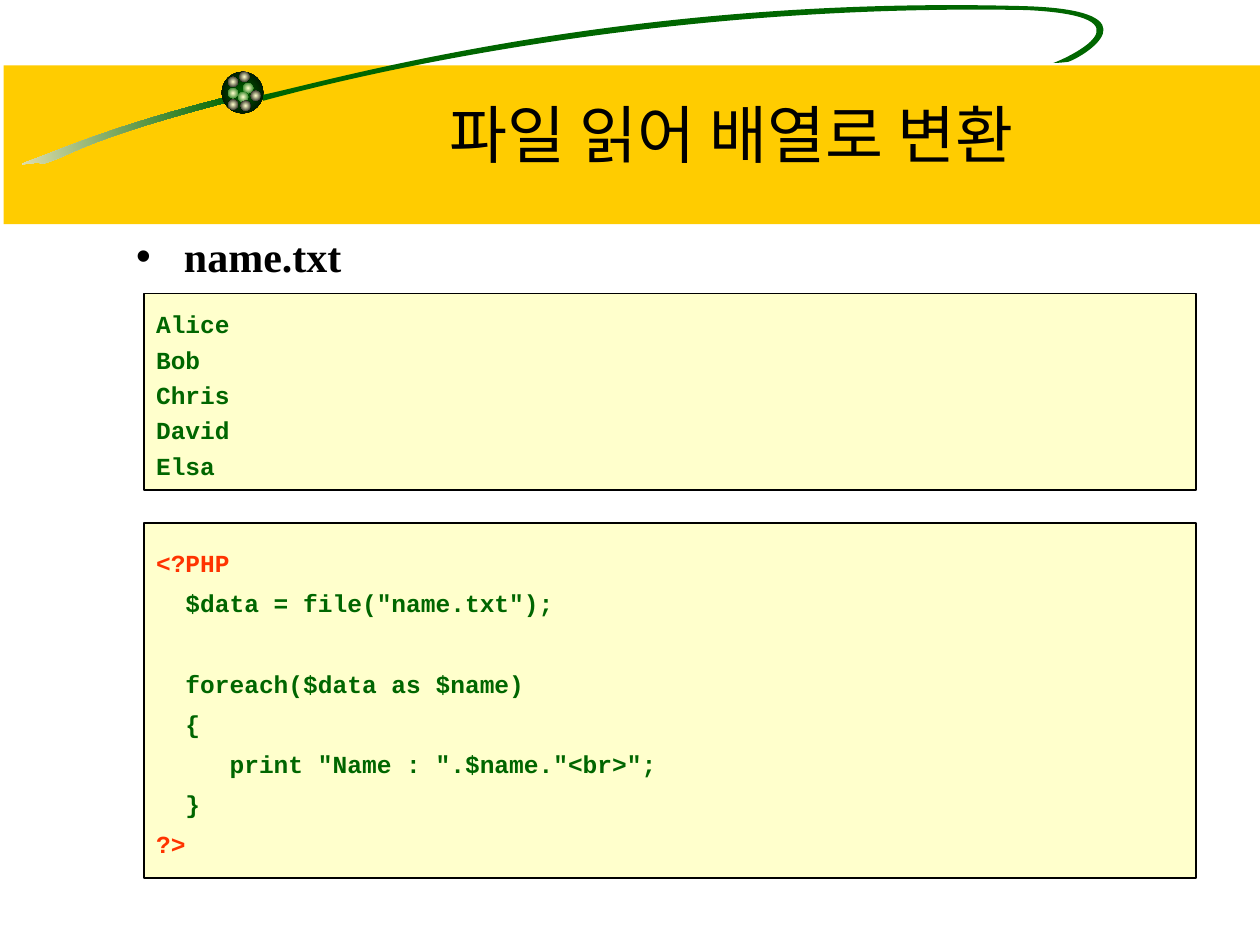
from math import cos, radians, sin

from lxml import etree
from pptx import Presentation
from pptx.dml.color import RGBColor
from pptx.enum.shapes import MSO_SHAPE
from pptx.enum.text import MSO_ANCHOR, PP_ALIGN
from pptx.oxml.ns import qn
from pptx.util import Pt

PX = 9144  # 100 px to the inch
RECT, OVAL = MSO_SHAPE.RECTANGLE, MSO_SHAPE.OVAL
MIDDLE, LEFT, CENTER = MSO_ANCHOR.MIDDLE, PP_ALIGN.LEFT, PP_ALIGN.CENTER

BLACK = RGBColor(0x00, 0x00, 0x00)
WHITE = RGBColor(0xFF, 0xFF, 0xFF)
GREEN = RGBColor(0x00, 0x66, 0x00)
RED = RGBColor(0xFF, 0x33, 0x00)
YELLOW = RGBColor(0xFF, 0xCC, 0x00)
CREAM = RGBColor(0xFF, 0xFF, 0xCC)
SAND = RGBColor(0xF5, 0xEB, 0xC1)

SERIF, MONO = "Times New Roman", "Courier New"
TILT = -9  # degrees, for both parts of the swoosh

# Each outline: a start point, then Bezier segments (control, control, end)
TAIL = [(180, 77),
        (93, 99), (52, 117), (28, 126),
        (3, 135), (29, 127), (34, 130),
        (59, 123), (60, 113), (181, 81),
        (181, 81), (180, 77), (180, 77)]
SWOOSH = [(205, 76),
          (249, 68), (489, -5), (817, 5),
          (919, 9), (860, 45), (848, 49),
          (848, 49), (841, 50), (836, 50),
          (847, 46), (919, 13), (815, 8),
          (550, 3), (323, 49), (209, 80),
          (209, 80), (205, 76), (205, 76)]
# Dots on the ball: offset from the ball's corner, and rim colour
DOTS = [(17, 9, GREEN), (5, 4, BLACK), (5, 13, GREEN), (13, 16, GREEN),
        (23, 15, BLACK), (15, 23, BLACK), (5, 22, BLACK), (14, 0, BLACK)]

NAMES = ["Alice", "Bob", "Chris", "David", "Elsa"]
CODE = ["<?PHP",
        '  $data = file("name.txt");',
        "  ",
        "  foreach($data as $name)",
        "  {",
        '     print "Name : ".$name."<br>";',
        "  }",
        "?>"]


def emu(*lengths):
    return [round(n * PX) for n in lengths]


def place(sp, box):
    sp.left, sp.top, sp.width, sp.height = emu(*box)


def strip_style(sp):
    sp.shadow.inherit = False
    sp.line.fill.background()
    return sp


def add_plain(shapes, kind, box):
    return strip_style(shapes.add_shape(kind, *emu(*box)))


def fill_solid(sp, color):
    sp.fill.solid()
    sp.fill.fore_color.rgb = color


def fill_gradient(sp, start, end, radial=False):
    sp.fill.gradient()
    sp.fill.gradient_angle = 0
    for stop, color in zip(sp.fill.gradient_stops, (start, end)):
        stop.color.rgb = color
    if radial:
        grad = sp.fill._fill._gradFill
        grad.remove(grad.find(qn("a:lin")))
        circle = etree.SubElement(grad, qn("a:path"), path="circle")
        etree.SubElement(circle, qn("a:fillToRect"), dict.fromkeys("ltrb", "50000"))


def add_curve(shapes, x, y, box, outline):
    """Draw a closed Bezier outline in a tilted frame; the points are as seen after the tilt."""
    left, top, w, h = box
    cx, cy = left + w / 2, top + h / 2
    c, n = cos(radians(TILT)), sin(radians(TILT))
    points = [emu(w / 2 + (px - cx) * c + (py - cy) * n,
                  h / 2 - (px - cx) * n + (py - cy) * c) for px, py in outline]
    builder = shapes.build_freeform(*points[0])
    builder.add_line_segments(points[1:], close=True)
    sp = strip_style(builder.convert_to_shape())
    place(sp, (x + left, y + top, w, h))
    sp.rotation = TILT

    curve = sp._element.find(".//" + qn("a:path"))
    for name, length in zip("wh", emu(w, h)):
        curve.set(name, str(length))
    for child in list(curve):
        curve.remove(child)
    moves = [("a:moveTo", points[:1])]
    moves += [("a:cubicBezTo", points[i:i + 3]) for i in range(1, len(points), 3)]
    for tag, group in moves + [("a:close", [])]:
        segment = etree.SubElement(curve, qn(tag))
        for px, py in group:
            etree.SubElement(segment, qn("a:pt"), x=str(px), y=str(py))
    return sp


def add_ball(shapes, x, y, size):
    fill_gradient(add_plain(shapes, OVAL, (x, y, size, size)), GREEN, BLACK, radial=True)
    for dx, dy, rim in DOTS:
        dot = add_plain(shapes, OVAL, (x + dx, y + dy, 8, 8))
        fill_gradient(dot, CREAM, rim, radial=True)


def add_backdrop(s, x, y, w, h):
    group = s.shapes.add_group_shape()
    shapes = group.shapes
    fill_solid(add_plain(shapes, RECT, (x + 3, y + 52, w, 126)), YELLOW)
    fill_gradient(add_curve(shapes, x, y, (0, 91, 184, 30), TAIL), SAND, GREEN)
    fill_solid(add_curve(shapes, x, y, (204, -15, 716, 109), SWOOSH), GREEN)
    add_ball(shapes, x + 176, y + 57, 33)
    veil = add_plain(shapes, RECT, (x + 77, y + 206, 122, h - 206))
    fill_solid(veil, WHITE)
    color = veil._element.spPr.find(qn("a:solidFill"))[0]
    etree.SubElement(color, qn("a:alpha"), val="50000")
    s.shapes._spTree.insert(2, group._element)  # behind the placeholders


def set_font(p, name, size, color, bold=False):
    p.font.name, p.font.size, p.font.bold = name, Pt(size), bold
    p.font.color.rgb = color


def fill_title(s, box, text):
    place(s.shapes.title, box)
    tf = s.shapes.title.text_frame
    tf.text = text
    tf.vertical_anchor = MIDDLE
    p = tf.paragraphs[0]
    p.alignment = CENTER
    set_font(p, SERIF, 36, BLACK)


def fill_body(s, box, text):
    body = s.placeholders[1]
    place(body, box)
    body.text_frame.text = text
    p = body.text_frame.paragraphs[0]
    set_font(p, SERIF, 24, BLACK, bold=True)
    pPr = p._p.get_or_add_pPr()
    indent, = emu(38)
    pPr.set("marL", str(indent))
    pPr.set("indent", str(-indent))


def add_listing(s, box, lines, space_before=0):
    sp = add_plain(s.shapes, RECT, box)
    fill_solid(sp, CREAM)
    sp.line.color.rgb = BLACK
    sp.line.width = Pt(1)
    tf = sp.text_frame
    tf.word_wrap = True
    tf.vertical_anchor = MIDDLE
    tf.text = "\n".join(lines)
    for i, p in enumerate(tf.paragraphs):
        p.alignment = LEFT
        p.line_spacing = 1.2
        p.space_before = Pt(space_before if i else 0)
        is_tag = p.text.startswith(("<?", "?>"))
        set_font(p, MONO, 14, RED if is_tag else GREEN, bold=True)


def main():
    prs = Presentation()
    prs.slide_width, prs.slide_height = emu(1000, 750)
    s = prs.slides.add_slide(prs.slide_layouts[1])
    add_backdrop(s, 0, 0, 1000, 750)
    fill_title(s, (161, 60, 839, 92), "파일 읽어 배열로 변환")
    fill_body(s, (98, 178, 850, 533), "name.txt")
    add_listing(s, (114, 233, 835, 156), NAMES)
    add_listing(s, (114, 415, 835, 282), CODE, space_before=2.8)
    prs.save("out.pptx")


if __name__ == "__main__":
    main()
